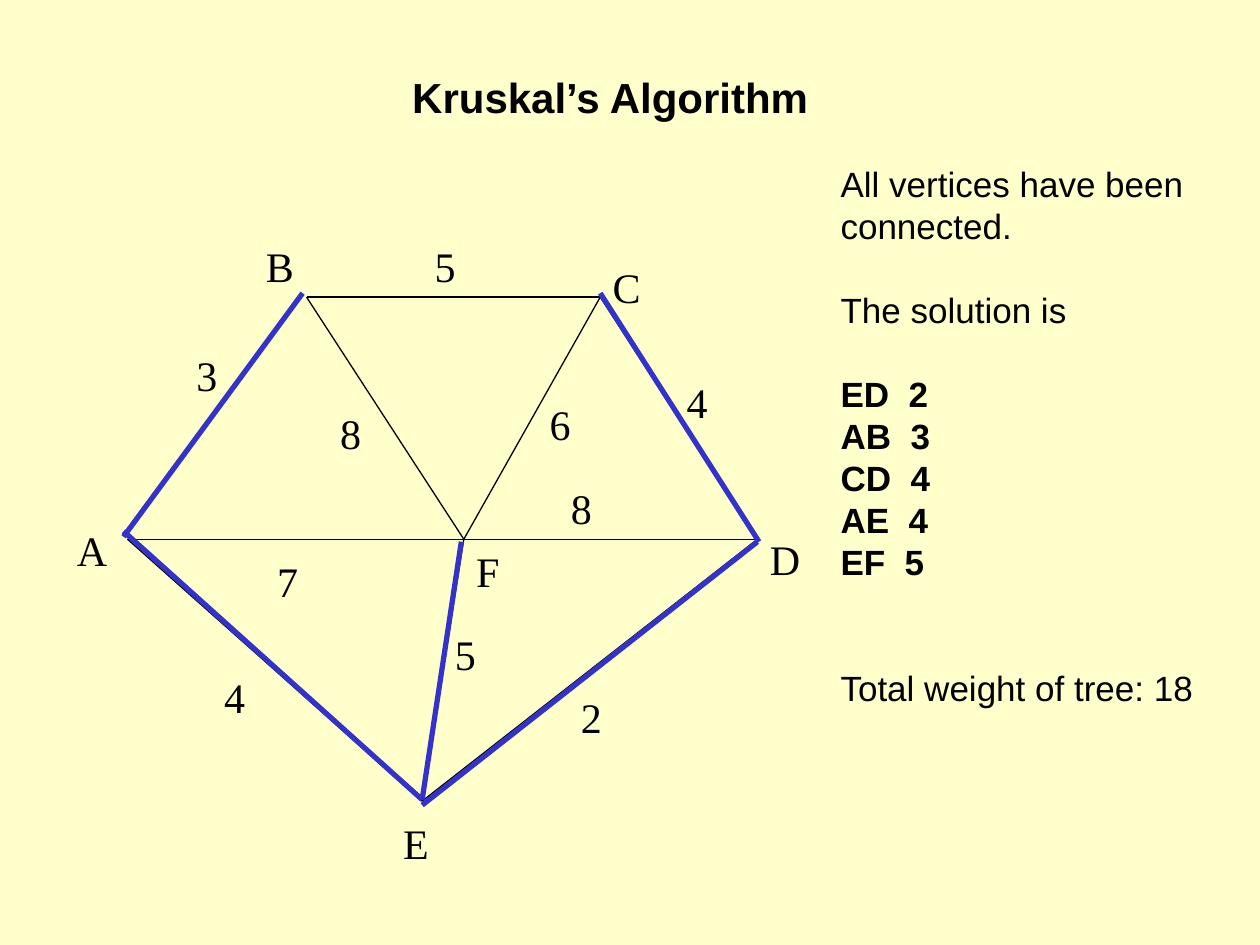
from lxml import etree
from pptx import Presentation
from pptx import util as u
from pptx.dml import color
from pptx.enum import shapes, text
from pptx.oxml import ns

COLORS = {"background": "FFFFCC", "ink": "000000", "tree": "3333CC"}
LABEL_SIZE = 1.27  # cm

# Positions in cm from the top left corner of the graph
VERTICES = {
    "A": (1.27, 6.15), "B": (4.88, 1.27), "C": (10.8, 1.27),
    "D": (13.97, 6.15), "E": (7.21, 11.43), "F": (8.05, 6.15),
}
THIN_EDGES = ["BC", "CD", "AF", "FD", "BF", "CF", "AE", "EF", "ED"]
LABELS = [
    ("A", 0, 5.72), ("F", 8.05, 6.15), ("B", 3.81, 0),
    ("C", 10.8, 0.43), ("D", 13.97, 5.92), ("E", 6.58, 11.63),
    ("2", 10.16, 9.09), ("7", 4.04, 6.35), ("4", 2.97, 8.69),
    ("5", 7.62, 7.82), ("8", 5.31, 3.38), ("6", 9.53, 3.18),
    ("4", 12.29, 2.74), ("5", 7.21, 0), ("3", 2.41, 2.21),
    ("8", 9.96, 4.88),
]
# Tree edges sit slightly off the thin ones
TREE_EDGES = [
    ((1.19, 6.1), (4.8, 1.19)),      # AB
    ((7.21, 11.51), (13.97, 6.2)),   # ED
    ((10.8, 1.19), (14, 6.2)),       # CD
    ((1.19, 5.99), (7.21, 11.4)),    # AE
    ((8, 6.2), (7.21, 11.4)),        # FE
]
# Text, bold, blank lines before
SOLUTION = [
    ("All vertices have been", False, 0),
    ("connected.", False, 0),
    ("The solution is", False, 1),
    ("ED  2", True, 1),
    ("AB  3", True, 0),
    ("CD  4", True, 0),
    ("AE  4", True, 0),
    ("EF  5", True, 0),
    ("Total weight of tree: 18", False, 2),
]


def rgb(name):
    return color.RGBColor.from_string(COLORS[name])


def place(shape, left, top, width, height):
    shape.left, shape.top = u.Cm(left), u.Cm(top)
    shape.width, shape.height = u.Cm(width), u.Cm(height)


def prepare_frame(shape):
    frame = shape.text_frame
    frame.word_wrap = True
    frame.auto_size = text.MSO_AUTO_SIZE.NONE
    frame.vertical_anchor = text.MSO_ANCHOR.TOP
    return frame


def add_run(paragraph, words, size, font, bold=False):
    run = paragraph.add_run()
    run.text = words
    run.font.name, run.font.size, run.font.bold = font, u.Pt(size), bold
    run.font.color.rgb = rgb("ink")


def add_edge(slide, origin, start, end, color_name, width):
    left, top = origin
    edge = slide.shapes.add_connector(
        shapes.MSO_CONNECTOR.STRAIGHT,
        u.Cm(left + start[0]), u.Cm(top + start[1]),
        u.Cm(left + end[0]), u.Cm(top + end[1]))
    edge.line.color.rgb = rgb(color_name)
    edge.line.width = u.Pt(width)
    etree.SubElement(edge._element.spPr, ns.qn("a:effectLst"))


def fill_title(slide, box):
    title = slide.shapes.title
    place(title, *box)
    paragraph = prepare_frame(title).paragraphs[0]
    paragraph.alignment = text.PP_ALIGN.CENTER
    add_run(paragraph, "Kruskal’s Algorithm", 24, "Arial", True)


def fill_solution(slide, box):
    body = slide.placeholders[1]
    place(body, *box)
    frame = prepare_frame(body)
    line_height = 24
    for index, (words, bold, gap) in enumerate(SOLUTION):
        paragraph = frame.add_paragraph() if index else frame.paragraphs[0]
        paragraph.line_spacing = u.Pt(line_height)
        paragraph.space_before = u.Pt(gap * line_height)
        properties = paragraph._p.get_or_add_pPr()
        properties.set("marL", "0")
        properties.set("indent", "0")
        etree.SubElement(properties, ns.qn("a:buNone"))
        add_run(paragraph, words, 20, "Arial", bold)


def draw_graph(slide, left, top):
    origin = (left, top)
    for start, end in THIN_EDGES:
        add_edge(slide, origin, VERTICES[start], VERTICES[end], "ink", 0.75)
    # Vertex names and edge weights
    for words, x, y in LABELS:
        label = slide.shapes.add_textbox(
            u.Cm(left + x), u.Cm(top + y), u.Cm(LABEL_SIZE), u.Cm(LABEL_SIZE))
        paragraph = prepare_frame(label).paragraphs[0]
        add_run(paragraph, words, 24, "Times New Roman")
    # Minimum spanning tree
    for start, end in TREE_EDGES:
        add_edge(slide, origin, start, end, "tree", 3)


def main():
    presentation = Presentation()
    presentation.slide_width = u.Cm(25.4)
    presentation.slide_height = u.Cm(19.05)
    slide = presentation.slides.add_slide(presentation.slide_layouts[1])
    slide.background.fill.solid()
    slide.background.fill.fore_color.rgb = rgb("background")
    fill_solution(slide, (16.69, 3.15, 8, 12.12))
    fill_title(slide, (2.29, 1.32, 20.02, 1.27))
    draw_graph(slide, 1.3, 4.72)
    presentation.save("out.pptx")


if __name__ == "__main__":
    main()
